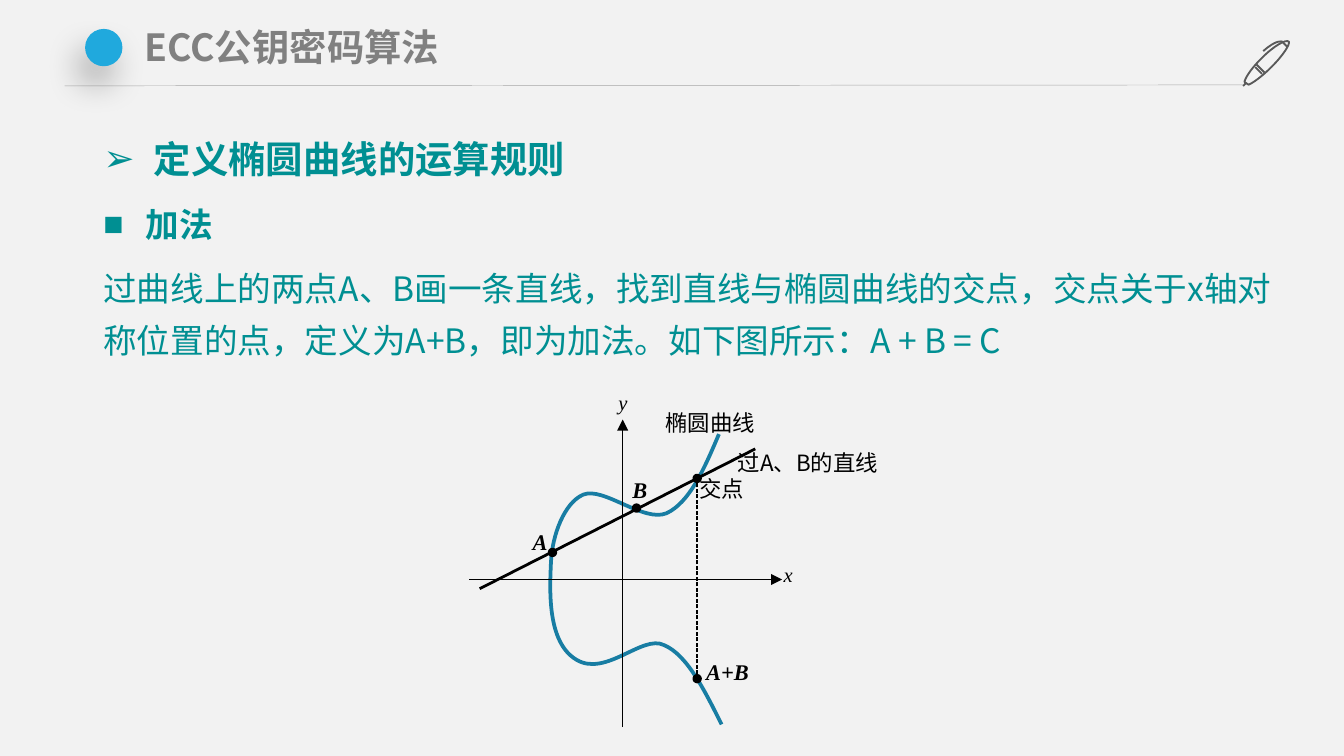
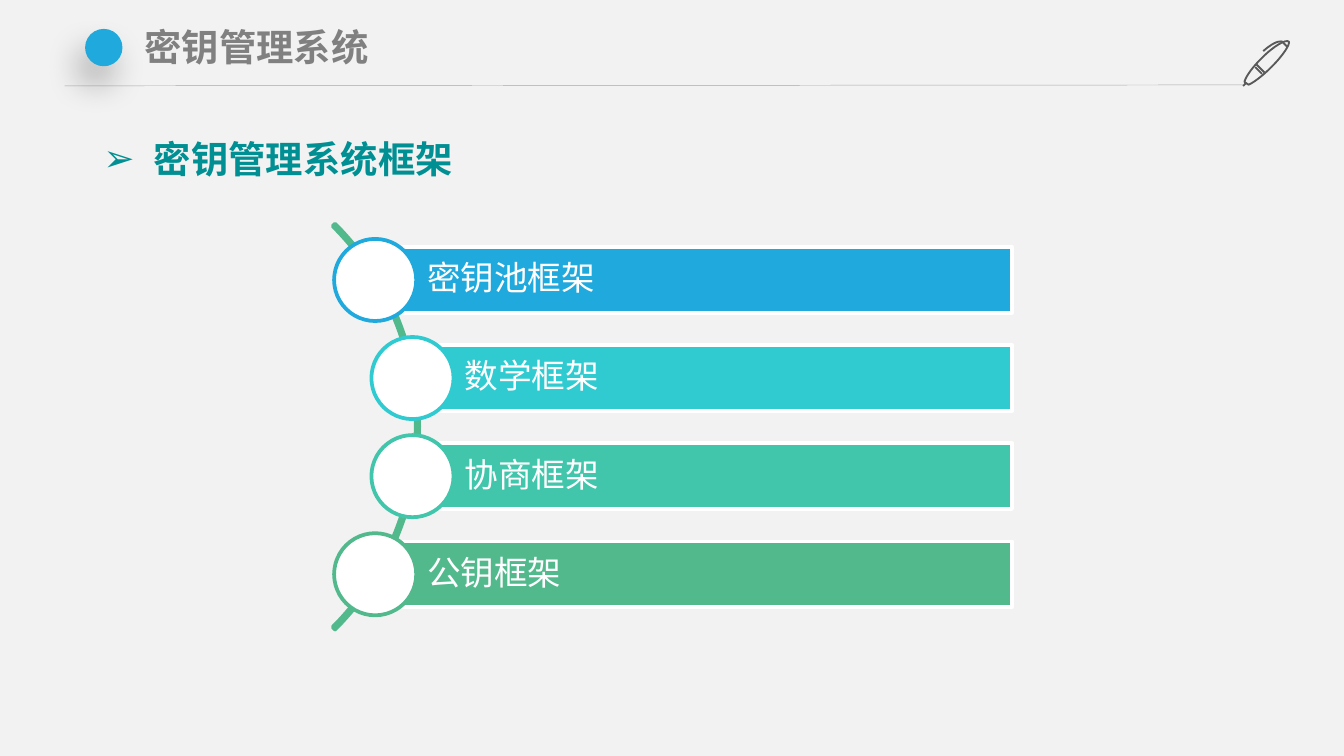
from dataclasses import dataclass
from lxml.etree import SubElement
from pptx import Presentation
from pptx.dml.color import RGBColor
from pptx.enum.dml import MSO_LINE
from pptx.enum.shapes import MSO_CONNECTOR, MSO_SHAPE
from pptx.enum.text import MSO_ANCHOR, MSO_AUTO_SIZE, PP_ALIGN
from pptx.oxml.ns import qn
from pptx.util import Pt


@dataclass(frozen=True)
class Theme:
    background: str = "F2F2F2"
    white: str = "FFFFFF"
    black: str = "000000"
    rule: str = "A6A6A6"
    pen: str = "595959"
    blue: str = "20A9DD"
    cyan: str = "30CBD1"
    teal: str = "41C5AB"
    green: str = "52B98C"
    curve: str = "187DA3"
    heading: str = "808080"
    body: str = "008F92"
    sans: str = "Noto Sans CJK SC"
    serif: str = "Times New Roman"
    large: int = 20
    medium: int = 18
    small: int = 12
    tiny: int = 11


theme = Theme()


def text_style(color, size, name=theme.sans, bold=False, italic=False):
    return color, {"name": name, "size": Pt(size), "bold": bold, "italic": italic}


STYLES = {
    "title": text_style(theme.heading, theme.large, bold=True),
    "topic": text_style(theme.body, theme.large, theme.serif, bold=True),
    "subtopic": text_style(theme.body, theme.medium, bold=True),
    "plain": text_style(theme.body, theme.medium),
    "point": text_style(theme.black, theme.small, theme.serif, True, True),
    "axis": text_style(theme.black, theme.tiny, theme.serif, italic=True),
    "caption": text_style(theme.black, theme.small),
    "framework": text_style(theme.white, theme.medium),
}
BULLETS = {"topic": ("➢", 27), "subtopic": ("■", 22.5)}

ADDITION = {
    "title": "ECC公钥密码算法",
    "body_height": 134,
    "body": [
        ("topic", "定义椭圆曲线的运算规则"),
        ("subtopic", "加法"),
        ("plain", "过曲线上的两点A、B画一条直线，找到直线与椭圆曲线的交点，交点关于x轴对称位置的点，"
                  "定义为A+B，即为加法。如下图所示：A + B = C"),
    ],
}
SYSTEM = {
    "title": "密钥管理系统",
    "body_height": 73.5,
    "body": [("topic", "密钥管理系统框架")],
}
FRAMEWORKS = [
    ("密钥池框架", theme.blue, 201),
    ("数学框架", theme.cyan, 221),
    ("协商框架", theme.teal, 221),
    ("公钥框架", theme.green, 201),
]

PEN = [
    ((676.1, 39.6), [[(672.5, 36)]]),
    ((673.2, 34.6), [[(677.5, 38.9)]]),
    ((690.5, 22.3), [
        [(689, 20.9), (682.6, 24.5), (676.1, 31)],
        [(671, 36), (667.4, 41), (666.7, 43.9)],
        [(668.9, 45.4)],
        [(671, 44.6), (676.1, 41), (681.1, 36)],
        [(687.6, 29.5), (691.2, 23.8), (690.5, 22.3)],
    ]),
    ((667.4, 44.6), [[(666, 46.1)]]),
    ((689.8, 25.2), [
        [(689.8, 25.2), (688.3, 23.8), (686.9, 22.3)],
        [(686.9, 22.3), (684, 20.9), (676.8, 27.4)],
    ]),
]
ELLIPTIC_CURVE = [
    ((385.2, 232.6), [
        [(377.3, 251.3), (369.4, 269.3), (357.1, 275)],
        [(344.9, 280.1), (323.3, 260.6), (312.5, 265)],
        [(302.4, 269.3), (295.9, 286.6), (295.2, 301)],
        [(294.5, 316.1), (293, 344.2), (308.9, 353.5)],
        [(324.7, 362.9), (344.2, 339.8), (355.7, 345.6)],
        [(367.9, 350.6), (377.3, 369.4), (386.6, 388.1)],
    ]),
]
GRAPH_LINES = [
    ((257, 315.4), (404.6, 240.5), 1.5, None, False),
    ((333.6, 389.5), (333.6, 224.8), 0.75, None, True),
    ((251.3, 310.5), (419, 310.5), 0.75, None, True),
    ((373.5, 364.3), (373.5, 256.3), 0.75, MSO_LINE.SQUARE_DOT, False),
]
GRAPH_LABELS = [
    ("A", "point", 285.3, 283, 4),
    ("B", "point", 338.7, 255, 4),
    ("y", "axis", 331.3, 209, 4),
    ("x", "axis", 419.8, 301, 4),
    ("A+B", "point", 378.3, 352.7, 49),
    ("交点", "caption", 374.5, 254.7, 49),
    ("过A、B的直线", "caption", 395.2, 240.8, 96),
    ("椭圆曲线", "caption", 356.4, 219, 96),
]
GRAPH_POINTS = [(296, 296), (373.5, 256.3), (373.5, 363.6), (341, 272.2)]


def assign(target, values):
    for name, value in values.items():
        setattr(target, name, value)


def rgb(color):
    return RGBColor.from_string(color)


def place(target, left, top, width, height):
    assign(target, {"left": Pt(left), "top": Pt(top), "width": Pt(width), "height": Pt(height)})


def write(paragraph, text, style):
    color, values = STYLES[style]
    run = paragraph.add_run()
    run.text = text
    run.font.color.rgb = rgb(color)
    assign(run.font, values)
    SubElement(run.font._element, qn("a:ea"), typeface=theme.sans)


def set_frame(frame, insets, **values):
    sides = ("margin_left", "margin_top", "margin_right", "margin_bottom")
    assign(frame, {side: Pt(inset) for side, inset in zip(sides, insets)})
    assign(frame, {"word_wrap": True, "vertical_anchor": MSO_ANCHOR.TOP,
                   "auto_size": MSO_AUTO_SIZE.SHAPE_TO_FIT_TEXT, **values})


def set_line(line, color, weight):
    line.color.rgb = rgb(color)
    line.width = Pt(weight)


def paint(shape, fill=None, line=None, weight=2):
    shape.shadow.inherit = False
    if fill:
        shape.fill.solid()
        shape.fill.fore_color.rgb = rgb(fill)
    else:
        shape.fill.background()
    if line:
        set_line(shape.line, line, weight)
    else:
        shape.line.fill.background()


def add_preset(slide, kind, left, top, width, height, **colors):
    shape = slide.shapes.add_shape(kind, Pt(left), Pt(top), Pt(width), Pt(height))
    paint(shape, **colors)
    return shape


def add_disc(slide, center, diameter, **colors):
    left, top = (value - diameter / 2 for value in center)
    return add_preset(slide, MSO_SHAPE.OVAL, left, top, diameter, diameter, **colors)


def add_line(slide, start, end, color, weight, dash=None, arrow=False):
    connector = slide.shapes.add_connector(MSO_CONNECTOR.STRAIGHT, *map(Pt, start + end))
    set_line(connector.line, color, weight)
    if dash:
        connector.line.dash_style = dash
    if arrow:
        SubElement(connector.line._get_or_add_ln(), qn("a:tailEnd"), type="triangle")
    SubElement(connector._element.spPr, qn("a:effectLst"))


def add_strokes(slide, strokes, color, weight):
    first = strokes[0][0]
    builder = slide.shapes.build_freeform(*map(Pt, first))
    for start, segments in strokes:
        if start != first:
            builder.move_to(*map(Pt, start))
        ends = [tuple(map(Pt, segment[-1])) for segment in segments]
        builder.add_line_segments(ends, close=segments[-1][-1] == start)
    shape = builder.convert_to_shape()
    bend(shape, [segment for _, segments in strokes for segment in segments])
    paint(shape, line=color, weight=weight)


def bend(shape, segments):
    steps = list(shape._element.iter(qn("a:lnTo")))
    for step, (*controls, _) in zip(steps, segments):
        if controls:
            step.tag = qn("a:cubicBezTo")
        for index, (x, y) in enumerate(controls):
            handle = SubElement(step, qn("a:pt"), x=str(Pt(x) - shape.left), y=str(Pt(y) - shape.top))
            step.insert(index, handle)


def add_bullet(paragraph, style):
    char, indent = BULLETS.get(style, (None, 0))
    properties = paragraph._p.get_or_add_pPr()
    properties.set("marL", str(Pt(indent)))
    properties.set("indent", str(-Pt(indent)))
    if char:
        SubElement(properties, qn("a:buChar"), char=char)
    else:
        SubElement(properties, qn("a:buNone"))


def add_decoration(slide):
    add_line(slide, (34.6, 46), (666, 45.5), theme.rule, 0.25)
    add_strokes(slide, PEN, theme.pen, 1)
    dot = add_disc(slide, (55.6, 25.5), 20, fill=theme.blue)
    effects = dot._element.spPr.find(qn("a:effectLst"))
    shadow = SubElement(effects, qn("a:outerShdw"), blurRad=str(Pt(18)), dist=str(Pt(11)),
                        dir=str(113 * 60000), algn="ctr", rotWithShape="0")
    shade = SubElement(shadow, qn("a:srgbClr"), val=theme.black)
    SubElement(shade, qn("a:alpha"), val="27000")


def add_page(deck, content):
    slide = deck.slides.add_slide(deck.slide_layouts[1])
    title, body = slide.placeholders
    place(title, 70.8, 10, 595.5, 31)
    set_frame(title.text_frame, (6.5, 3, 6.5, 3))
    heading = title.text_frame.paragraphs[0]
    heading.alignment = PP_ALIGN.LEFT
    write(heading, content["title"], "title")

    place(body, 48.2, 62, 646.5, content["body_height"])
    set_frame(body.text_frame, (7.2, 3.6, 7.2, 3.6))
    for index, (style, text) in enumerate(content["body"]):
        paragraph = body.text_frame.add_paragraph() if index else body.text_frame.paragraphs[0]
        add_bullet(paragraph, style)
        assign(paragraph, {"alignment": PP_ALIGN.LEFT, "line_spacing": 1.3,
                           "space_before": Pt(3 if index else 0), "space_after": Pt(3)})
        write(paragraph, text, style)
    add_decoration(slide)
    return slide


def add_graph(slide):
    add_strokes(slide, ELLIPTIC_CURVE, theme.curve, 2)
    for start, end, weight, dash, arrow in GRAPH_LINES:
        add_line(slide, start, end, theme.black, weight, dash, arrow)
    for text, style, left, top, width in GRAPH_LABELS:
        label = slide.shapes.add_textbox(Pt(left), Pt(top), Pt(width), Pt(14))
        set_frame(label.text_frame, (0, 0, 0, 0))
        write(label.text_frame.paragraphs[0], text, style)
    for center in GRAPH_POINTS:
        add_disc(slide, center, 3, fill=theme.black, line=theme.black)


def add_frameworks(slide, top=132.4, pitch=52.56, height=35.2, right=542.2):
    arc = add_preset(slide, MSO_SHAPE.BLOCK_ARC, -82.8, 74.9, 307.4, 307.4, line=theme.green)
    for index, value in enumerate((189, 27, 0.006)):
        arc.adjustments[index] = value
    for row, (text, color, left) in enumerate(FRAMEWORKS):
        y = top + row * pitch
        bar = add_preset(slide, MSO_SHAPE.RECTANGLE, left, y, right - left, height,
                         fill=color, line=theme.white)
        set_frame(bar.text_frame, (27.8, 3.6, 3.6, 3.6), vertical_anchor=MSO_ANCHOR.MIDDLE,
                  auto_size=MSO_AUTO_SIZE.NONE)
        paragraph = bar.text_frame.paragraphs[0]
        assign(paragraph, {"alignment": PP_ALIGN.LEFT, "line_spacing": 0.9})
        write(paragraph, text, "framework")
        add_disc(slide, (left, y + height / 2), 44, fill=theme.white, line=color)


def main():
    deck = Presentation()
    assign(deck, {"slide_width": Pt(720), "slide_height": Pt(405)})
    backdrop = deck.slide_master.background.fill
    backdrop.solid()
    backdrop.fore_color.rgb = rgb(theme.background)
    add_graph(add_page(deck, ADDITION))
    add_frameworks(add_page(deck, SYSTEM))
    deck.save("out.pptx")


if __name__ == "__main__":
    main()
